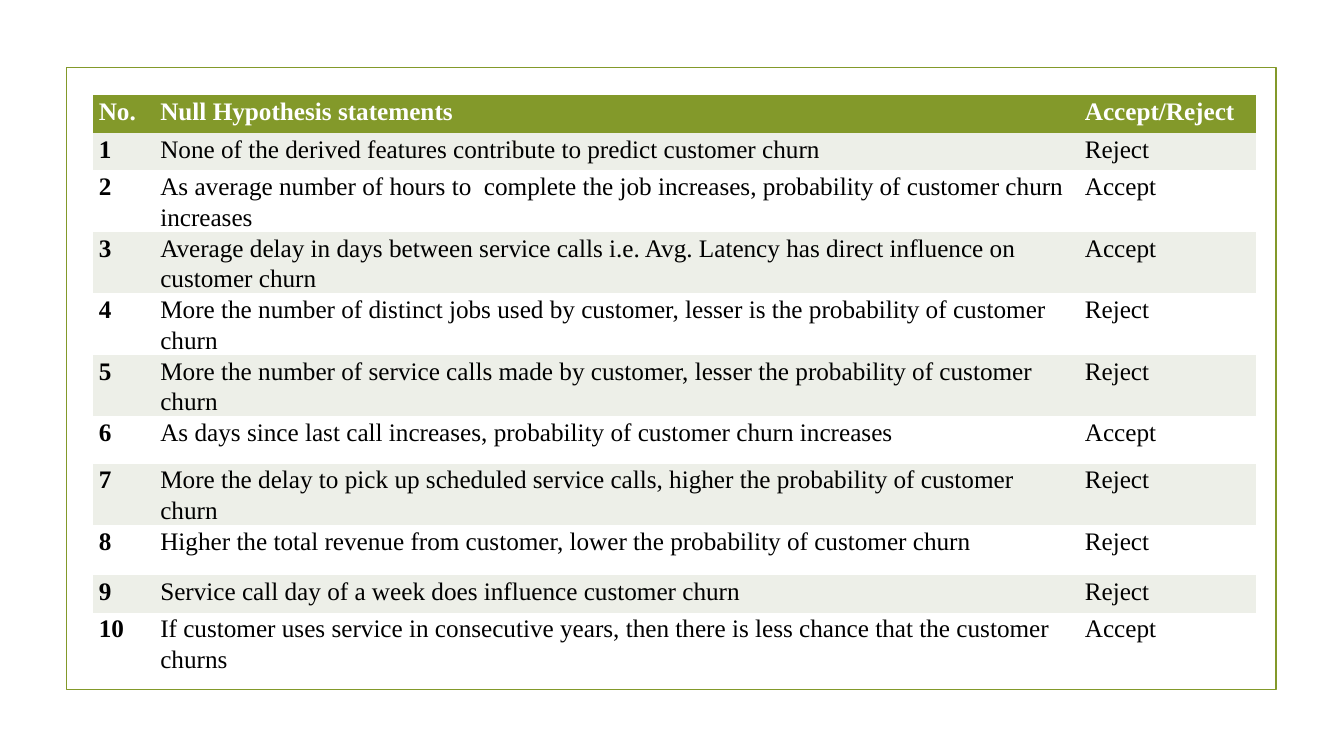
import pptx
import pptx.util
import pptx.dml.color
import pptx.enum.shapes
import pptx.oxml.ns
from dataclasses import dataclass

Inches = pptx.util.Inches


@dataclass(frozen=True)
class Theme:
    font: str = "Times New Roman"
    text_size: float = 18
    frame_width: float = 1.25
    line_spacing: float = 1.1
    cell_margin: float = 0.06
    accent: str = "83992A"
    band: str = "EDEFE8"
    paper: str = "FFFFFF"
    ink: str = "000000"
    plain_table_style: str = "{2D5ABB26-0587-4C30-8999-92F81FD0307C}"


HEADINGS = ("No.", "Null Hypothesis statements", "Accept/Reject")
COLUMN_WIDTHS = (0.61, 9.17, 1.76)
HEADER_HEIGHT = 0.38
ONE_LINE, TWO_LINES = 0.37, 0.61

# Statement, verdict, row height
HYPOTHESES = (
    ("None of the derived features contribute to predict customer churn",
     "Reject", ONE_LINE),
    ("As average number of hours to  complete the job increases, "
     "probability of customer churn increases", "Accept", TWO_LINES),
    ("Average delay in days between service calls i.e. Avg. Latency has "
     "direct influence on customer churn", "Accept", TWO_LINES),
    ("More the number of distinct jobs used by customer, lesser is the "
     "probability of customer churn", "Reject", TWO_LINES),
    ("More the number of service calls made by customer, lesser the "
     "probability of customer churn", "Reject", TWO_LINES),
    ("As days since last call increases, probability of customer churn "
     "increases", "Accept", 0.47),
    ("More the delay to pick up scheduled service calls, higher the "
     "probability of customer churn", "Reject", TWO_LINES),
    ("Higher the total revenue from customer, lower the probability of "
     "customer churn", "Reject", 0.5),
    ("Service call day of a week does influence customer churn",
     "Reject", ONE_LINE),
    ("If customer uses service in consecutive years, then there is less "
     "chance that the customer churns", "Accept", TWO_LINES),
)


def rgb(code):
    return pptx.dml.color.RGBColor.from_string(code)


class SlideBuilder:
    def __init__(self, slide, theme):
        self.slide = slide
        self.theme = theme

    def frame(self, left, top, width, height):
        border = self.slide.shapes.add_shape(
            pptx.enum.shapes.MSO_SHAPE.RECTANGLE,
            Inches(left), Inches(top), Inches(width), Inches(height))
        border.shadow.inherit = False
        border.fill.background()
        border.line.color.rgb = rgb(self.theme.accent)
        border.line.width = pptx.util.Pt(self.theme.frame_width)

    def cell(self, cell, text, fill, color, bold):
        cell.fill.solid()
        cell.fill.fore_color.rgb = rgb(fill)
        cell.margin_left = cell.margin_right = Inches(self.theme.cell_margin)
        cell.margin_top = cell.margin_bottom = 0
        paragraph = cell.text_frame.paragraphs[0]
        paragraph.line_spacing = self.theme.line_spacing
        run = paragraph.add_run()
        run.text = text
        run.font.name = self.theme.font
        run.font.size = pptx.util.Pt(self.theme.text_size)
        run.font.bold = bold
        run.font.color.rgb = rgb(color)

    def table(self, left, top, widths, heights, rows):
        """Draw a banded table with a bold header row and first column."""
        theme = self.theme
        graphic = self.slide.shapes.add_table(
            len(rows), len(widths), Inches(left), Inches(top),
            Inches(sum(widths)), Inches(sum(heights)))
        table = graphic.table
        style_id = pptx.oxml.ns.qn("a:tableStyleId")
        table._tbl.tblPr.find(style_id).text = theme.plain_table_style
        for column, width in zip(table.columns, widths):
            column.width = Inches(width)
        for row, height in zip(table.rows, heights):
            row.height = Inches(height)
        for r, texts in enumerate(rows):
            header = r == 0
            band = theme.band if r % 2 else theme.paper
            for c, text in enumerate(texts):
                self.cell(table.cell(r, c), text,
                          fill=theme.accent if header else band,
                          color=theme.paper if header else theme.ink,
                          bold=header or c == 0)


def main():
    presentation = pptx.Presentation()
    presentation.slide_width = Inches(13.33)
    presentation.slide_height = Inches(7.5)
    slide = presentation.slides.add_slide(presentation.slide_layouts[6])
    builder = SlideBuilder(slide, Theme())

    builder.frame(0.66, 0.67, 12, 6.17)
    rows = [HEADINGS]
    heights = [HEADER_HEIGHT]
    for number, (statement, verdict, height) in enumerate(HYPOTHESES, 1):
        rows.append((str(number), statement, verdict))
        heights.append(height)
    builder.table(0.92, 0.94, COLUMN_WIDTHS, heights, rows)
    presentation.save("out.pptx")


if __name__ == "__main__":
    main()
